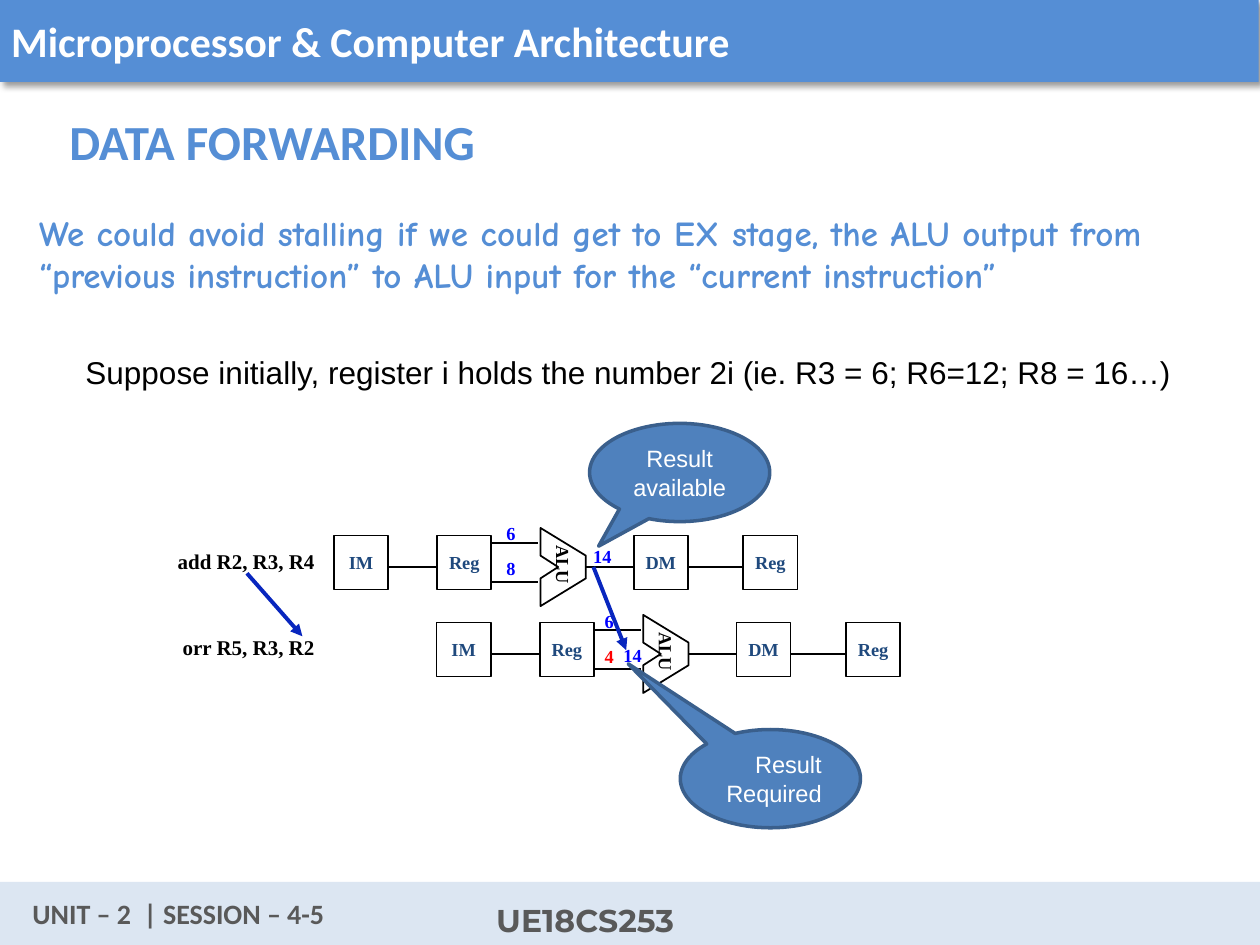
import pptx
import pptx.util
import pptx.dml.color
import pptx.enum.shapes
import pptx.enum.text
import pptx.oxml
import pptx.oxml.ns
import lxml.etree

RGBColor = pptx.dml.color.RGBColor
SHAPE = pptx.enum.shapes.MSO_SHAPE
ALIGN = pptx.enum.text.PP_ALIGN
ANCHOR = pptx.enum.text.MSO_ANCHOR
qn = pptx.oxml.ns.qn

BLACK = RGBColor(0x00, 0x00, 0x00)
WHITE = RGBColor(0xFF, 0xFF, 0xFF)
SKY = RGBColor(0x55, 0x8E, 0xD5)
PALE = RGBColor(0xDC, 0xE6, 0xF2)
GREY = RGBColor(0x59, 0x59, 0x59)
NAVY = RGBColor(0x1F, 0x49, 0x7D)
ARROW = RGBColor(0x08, 0x26, 0xBE)
BLUE = RGBColor(0x00, 0x00, 0xFF)
RED = RGBColor(0xFF, 0x00, 0x00)
CALLOUT = RGBColor(0x4F, 0x81, 0xBD)
CALLOUT_EDGE = RGBColor(0x3A, 0x5F, 0x8C)
SERIF = "Times New Roman"

presentation = pptx.Presentation()
presentation.slide_width = pptx.util.Inches(10)
presentation.slide_height = pptx.util.Inches(7.5)
cell = presentation.slide_width // 10
slide = presentation.slides.add_slide(presentation.slide_layouts[1])
shapes = slide.shapes


def format_box(shape, bounds, text="", size=12, font=SERIF, colour=BLACK, bold=True,
               align=ALIGN.LEFT, anchor=ANCHOR.TOP, inset=(0.1, 0.05), wrap=False,
               spacing=None, fill=None, edge=None, edge_width=1):
    shape.left, shape.top, shape.width, shape.height = [round(value * cell) for value in bounds]
    if isinstance(shape, pptx.shapes.autoshape.Shape) and not shape.is_placeholder:
        shape.shadow.inherit = False
    if fill is None:
        shape.fill.background()
    else:
        shape.fill.solid()
        shape.fill.fore_color.rgb = fill
    if edge is None:
        shape.line.fill.background()
    else:
        shape.line.color.rgb = edge
        shape.line.width = pptx.util.Pt(edge_width)
    frame = shape.text_frame
    frame.auto_size = pptx.enum.text.MSO_AUTO_SIZE.NONE
    frame.word_wrap = wrap
    frame.vertical_anchor = anchor
    frame.margin_left = frame.margin_right = round(inset[0] * cell)
    frame.margin_top = frame.margin_bottom = round(inset[1] * cell)
    frame.text = text
    for paragraph in frame.paragraphs:
        paragraph.alignment = align
        paragraph.line_spacing = spacing
        paragraph.font.size = pptx.util.Pt(size)
        paragraph.font.name = font
        paragraph.font.bold = bold
        paragraph.font.color.rgb = colour
    return frame


def draw_line(start_x, start_y, end_x, end_y, colour=BLACK, width=1, arrow=False):
    ends = [round(value * cell) for value in (start_x, start_y, end_x, end_y)]
    line = shapes.add_connector(pptx.enum.shapes.MSO_CONNECTOR.STRAIGHT, *ends)
    line.line.color.rgb = colour
    line.line.width = pptx.util.Pt(width)
    if arrow:
        lxml.etree.SubElement(line.line._get_or_add_ln(), qn("a:tailEnd"), type="triangle")
    lxml.etree.SubElement(line._element.spPr, qn("a:effectLst"))


header = shapes.add_shape(SHAPE.RECTANGLE, 0, 0, 0, 0)
format_box(header, (-0.01, -0.01, 10, 0.66), "Microprocessor & Computer Architecture", 24,
           "Calibri", WHITE, anchor=ANCHOR.MIDDLE, wrap=True, fill=SKY)
shadow = lxml.etree.SubElement(header._element.spPr.find(qn("a:effectLst")), qn("a:outerShdw"),
                               blurRad="50800", dist="38100", dir="2700000", algn="tl")
shadow_colour = lxml.etree.SubElement(shadow, qn("a:srgbClr"), val="000000")
lxml.etree.SubElement(shadow_colour, qn("a:alpha"), val="40000")

format_box(shapes.add_shape(SHAPE.RECTANGLE, 0, 0, 0, 0), (0, 7, 10, 0.5), fill=PALE)
for bounds, text, size, font in (
    ((0.16, 7.07, 3.27, 0.36), "UNIT – 2  | SESSION – 4-5", 16, "Calibri"),
    ((3.84, 7.1, 1.8, 0.4), "UE18CS253", 18, "Montserrat"),
):
    format_box(shapes.add_textbox(0, 0, 0, 0), bounds, text, size, font, GREY)

format_box(shapes.title, (0.55, 0.94, 9, 0.42), "DATA FORWARDING", 28, "Calibri", SKY,
           anchor=ANCHOR.MIDDLE, inset=(0, 0), wrap=True, spacing=0.9)
body = slide.placeholders[1]
body.text_frame.text = ""
frame = format_box(
    body, (0.21, 1.63, 9.67, 1.1),
    "We could avoid stalling if we could get to EX stage, the ALU output from "
    "“previous instruction” to ALU input for the “current instruction”",
    20, "Comic Neue", SKY, wrap=True)
frame.paragraphs[0].space_before = pptx.util.Pt(0)
properties = frame.paragraphs[0]._p.get_or_add_pPr()
properties.set("marL", "0")
properties.set("indent", "0")
properties.insert_element_before(properties.makeelement(qn("a:buNone"), {}),
                                 "a:tabLst", "a:defRPr", "a:extLst")

format_box(shapes.add_textbox(0, 0, 0, 0), (0.58, 2.75, 9.15, 0.4),
           "Suppose initially, register i holds the number 2i (ie. R3 = 6; R6=12; R8 = 16…)",
           18, "Arial", bold=False, wrap=True)

stages = ((2.65, "IM"), (3.47, "Reg"), (5.03, "DM"), (5.9, "Reg"))
wires = ((3.09, 3.46, 4.5), (3.9, 4.27, 4.31), (3.9, 4.27, 4.62), (4.65, 5.03, 4.5),
         (5.46, 5.9, 4.5))
alu_points = ((4.29, 4.19), (4.65, 4.41), (4.65, 4.59), (4.29, 4.81), (4.29, 4.59),
              (4.43, 4.5), (4.29, 4.41))
instructions = (
    ("add R2, R3, R4", 1.34, 1.24, "6\n8", 3.92, 4.13, BLUE),
    ("orr R5, R3, R2", 1.38, 1.2, "6\n4", 4.7, 4.83, RED),
)
for index, (code, code_left, code_width, operands, left, top, second) in enumerate(instructions):
    shift, drop = 0.815 * index, 0.69 * index
    for stage_left, name in stages:
        format_box(shapes.add_shape(SHAPE.RECTANGLE, 0, 0, 0, 0),
                   (stage_left + shift, 4.25 + drop, 0.43, 0.43), name, 10.5, SERIF, NAVY,
                   align=ALIGN.CENTER, anchor=ANCHOR.MIDDLE, inset=(0.07, 0.04), edge=BLACK)
    for start, end, height in wires:
        draw_line(start + shift, height + drop, end + shift, height + drop)

    points = [(round((x + shift) * cell), round((y + drop) * cell)) for x, y in alu_points]
    builder = shapes.build_freeform(*points[0])
    builder.add_line_segments(points[1:], close=True)
    alu = builder.convert_to_shape()
    alu.shadow.inherit = False
    alu.fill.background()
    alu.line.color.rgb = BLACK
    alu.line.width = pptx.util.Pt(1)
    label = shapes.add_textbox(0, 0, 0, 0)
    label.rotation = 90
    frame = format_box(label, (4.19 + shift, 4.31 + drop, 0.57, 0.25), "ALU", 10.5,
                       inset=(0.07, 0.04))
    frame.margin_left = round(0.18 * cell)

    format_box(shapes.add_textbox(0, 0, 0, 0), (code_left, 4.31 + drop, code_width, 0.27),
               code, inset=(0.07, 0.04))
    frame = format_box(shapes.add_textbox(0, 0, 0, 0), (left, top, 0.27, 0.52), operands, 10.5,
                       SERIF, BLUE, spacing=0.8)
    frame.paragraphs[1].space_before = pptx.util.Pt(9.7)
    frame.paragraphs[1].font.color.rgb = second

draw_line(4.71, 4.5, 4.97, 5.16, ARROW, 2.25, arrow=True)
draw_line(1.96, 4.55, 2.4, 5.05, ARROW, 2.25, arrow=True)

for left, top, text, align, tip in (
    (4.68, 3.36, "Result available", ALIGN.CENTER, (-0.45, 0.75)),
    (5.4, 5.79, "Result Required", ALIGN.RIGHT, (-0.79, -1.17)),
):
    callout = shapes.add_shape(SHAPE.OVAL_CALLOUT, 0, 0, 0, 0)
    callout.adjustments[0], callout.adjustments[1] = tip
    format_box(callout, (left, top, 1.43, 0.78), text, 13.5, "Arial", WHITE, False, align,
               ANCHOR.MIDDLE, wrap=True, fill=CALLOUT, edge=CALLOUT_EDGE, edge_width=2)

for left, top in ((4.61, 4.31), (4.85, 5.1)):
    format_box(shapes.add_textbox(0, 0, 0, 0), (left, top, 0.34, 0.24), "14", 10.5, SERIF, BLUE,
               spacing=0.8)

presentation.save("out.pptx")
